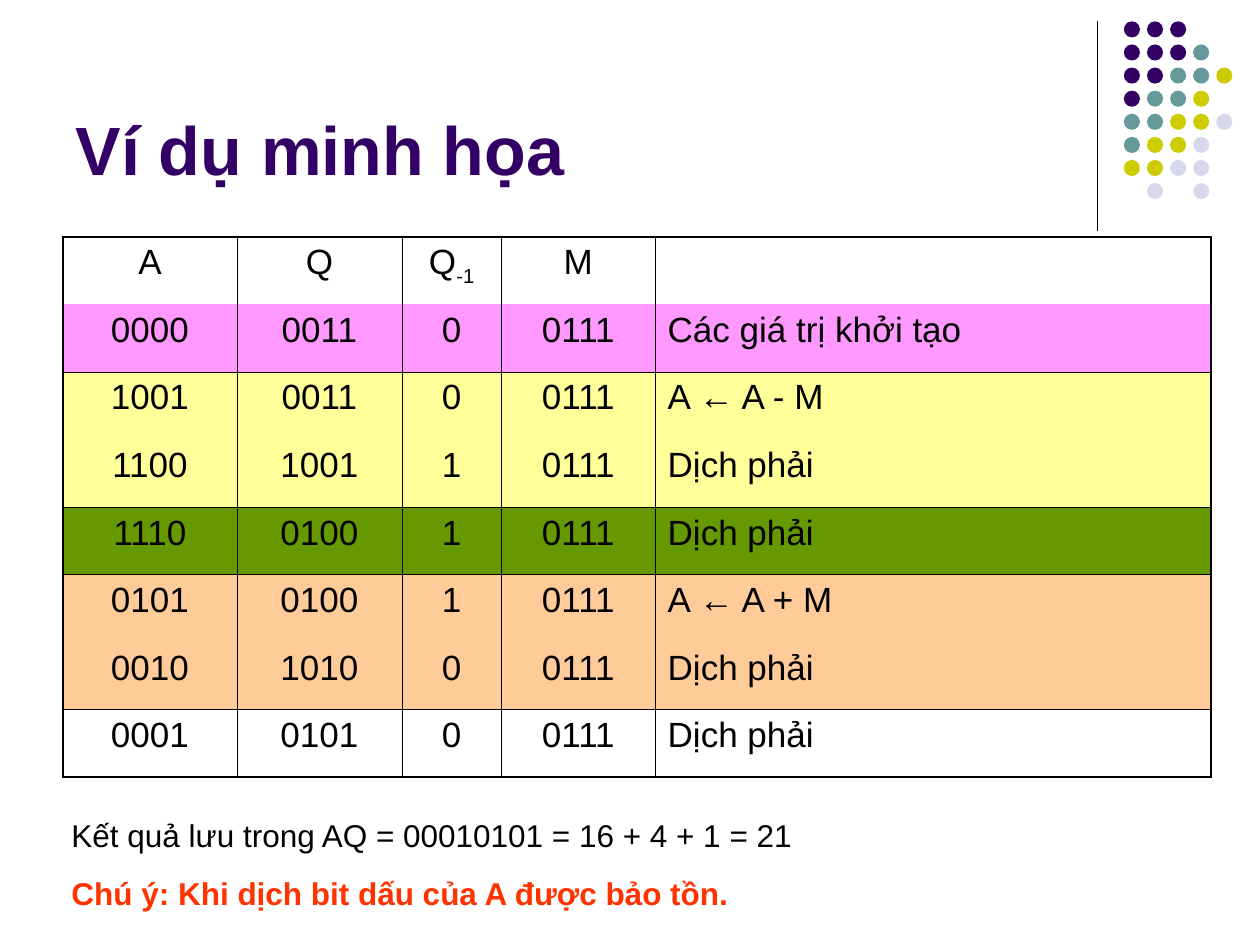
from typing import NamedTuple, Optional

from lxml.etree import SubElement
from pptx import Presentation
from pptx.dml.color import RGBColor as RGB
from pptx.enum.shapes import MSO_CONNECTOR as Link, MSO_SHAPE as Kind
from pptx.enum.text import MSO_ANCHOR as Anchor, MSO_AUTO_SIZE as Fit, PP_ALIGN as Align
from pptx.oxml.ns import qn
from pptx.util import Pt


class Theme(NamedTuple):
    font: str = "Arial"
    ink: str = "000000"
    head: str = "330066"
    warn: str = "FF3300"
    pink: str = "FF99FF"
    lemon: str = "FFFF99"
    green: str = "669900"
    peach: str = "FFCC99"
    teal: str = "669999"
    olive: str = "CCCC00"
    mist: str = "D8D8EC"
    title_pt: float = 39
    cell_pt: float = 20
    note_pt: float = 18
    thin: float = 0.45
    thick: float = 1.08


class Step(NamedTuple):
    """One table row; under is the width of the line below it, 0 for none."""
    cells: tuple
    fill: Optional[str]
    under: float


class Note(NamedTuple):
    text: str
    color: str
    bold: bool
    before: float


T = Theme()
WIDTHS = (99.4, 94.3, 56.9, 87.8, 317.5)
ROW = 38.6
STEPS = (
    Step(("A", "Q", "Q", "M", ""), None, 0),
    Step(("0000", "0011", "0", "0111", "Các giá trị khởi tạo"), T.pink, T.thin),
    Step(("1001", "0011", "0", "0111", "A ← A - M"), T.lemon, 0),
    Step(("1100", "1001", "1", "0111", "Dịch phải"), T.lemon, T.thin),
    Step(("1110", "0100", "1", "0111", "Dịch phải"), T.green, T.thin),
    Step(("0101", "0100", "1", "0111", "A ← A + M"), T.peach, 0),
    Step(("0010", "1010", "0", "0111", "Dịch phải"), T.peach, T.thin),
    Step(("0001", "0101", "0", "0111", "Dịch phải"), None, T.thick),
)
NOTES = (
    Note("Kết quả lưu trong AQ = 00010101 = 16 + 4 + 1 = 21", T.ink, False, 0),
    Note("Chú ý: Khi dịch bit dấu của A được bảo tồn.", T.warn, True, 11.2),
)
DOTS = ("HHH..", "HHHT.", "HHTTO", "HTTO.", "TTOOM", "TOOM.", "OOMM.", ".M.M.")
DOT_FILL = {"H": T.head, "T": T.teal, "O": T.olive, "M": T.mist}


def style(para, size: float, color: str, bold: bool = False) -> None:
    font = para.font
    font.name, font.size, font.bold = T.font, Pt(size), bold
    font.color.rgb = RGB.from_string(color)


def draw_rule(slide) -> None:
    rule = slide.shapes.add_connector(
        Link.STRAIGHT, Pt(627.1), Pt(12), Pt(627.1), Pt(132))
    rule.line.width = Pt(0.75)
    rule.line.color.rgb = RGB.from_string(T.ink)
    SubElement(rule.element.spPr, qn("a:effectLst"))


def draw_dots(slide, left: float, top: float, step: float, size: float) -> None:
    group = slide.shapes.add_group_shape()
    for row, line in enumerate(DOTS):
        for col, key in enumerate(line):
            if key == ".":
                continue
            dot = group.shapes.add_shape(
                Kind.OVAL, Pt(left + col * step), Pt(top + row * step), Pt(size), Pt(size))
            dot.shadow.inherit = False
            dot.fill.solid()
            dot.fill.fore_color.rgb = RGB.from_string(DOT_FILL[key])
            dot.line.fill.background()


def draw_title(slide, text: str) -> None:
    title = slide.shapes.title
    title.left, title.top, title.width, title.height = Pt(36), Pt(9.4), Pt(594), Pt(102.2)
    frame = title.text_frame
    frame.text = text
    frame.auto_size = Fit.NONE
    frame.vertical_anchor = Anchor.BOTTOM
    para = frame.paragraphs[0]
    para.alignment = Align.LEFT
    style(para, T.title_pt, T.head, True)


def edge(cell, side: str, width: float) -> None:
    """Set one border of a cell; a width of 0 hides it."""
    props = cell._tc.get_or_add_tcPr()
    line = SubElement(props, qn(f"a:ln{side}"), w=str(Pt(width)))
    if width:
        fill = SubElement(line, qn("a:solidFill"))
        SubElement(fill, qn("a:srgbClr"), val=T.ink)
    else:
        SubElement(line, qn("a:noFill"))


def fill_cell(cell, text: str, step: Step, over: float, col: int) -> None:
    last = len(WIDTHS) - 1
    edge(cell, "L", T.thick if col == 0 else T.thin)
    edge(cell, "R", T.thick if col == last else T.thin)
    edge(cell, "T", over)
    edge(cell, "B", step.under)
    if step.fill:
        cell.fill.solid()
        cell.fill.fore_color.rgb = RGB.from_string(step.fill)
    else:
        cell.fill.background()
    para = cell.text_frame.paragraphs[0]
    if text:
        para.add_run().text = text
    para.alignment = Align.LEFT if col == last else Align.CENTER
    style(para, T.cell_pt, T.ink)


def draw_table(slide) -> None:
    table = slide.shapes.add_table(
        len(STEPS), len(WIDTHS), Pt(36), Pt(135.4),
        Pt(sum(WIDTHS)), Pt(ROW * len(STEPS))).table
    table.first_row = table.horz_banding = False
    for col, width in zip(table.columns, WIDTHS):
        col.width = Pt(width)
    over = T.thick
    for row, step in enumerate(STEPS):
        table.rows[row].height = Pt(ROW)
        for col, text in enumerate(step.cells):
            fill_cell(table.cell(row, col), text, step, over, col)
        over = step.under
    sub = table.cell(0, 2).text_frame.paragraphs[0].add_run()
    sub.text = "-1"
    sub._r.get_or_add_rPr().set("baseline", "-25000")


def draw_notes(slide) -> None:
    frame = slide.shapes.add_textbox(Pt(33.8), Pt(463), Pt(476), Pt(62)).text_frame
    frame.word_wrap = True
    frame.auto_size = Fit.SHAPE_TO_FIT_TEXT
    for num, note in enumerate(NOTES):
        para = frame.add_paragraph() if num else frame.paragraphs[0]
        para.text = note.text
        para.space_before = Pt(note.before)
        style(para, T.note_pt, note.color, note.bold)


def main() -> None:
    deck = Presentation()
    deck.slide_width, deck.slide_height = Pt(720), Pt(540)
    slide = deck.slides.add_slide(deck.slide_layouts[5])
    draw_rule(slide)
    draw_dots(slide, left=642.2, top=12.2, step=13.2, size=9.2)
    draw_title(slide, "Ví dụ minh họa")
    draw_table(slide)
    draw_notes(slide)
    deck.save("out.pptx")


if __name__ == "__main__":
    main()
